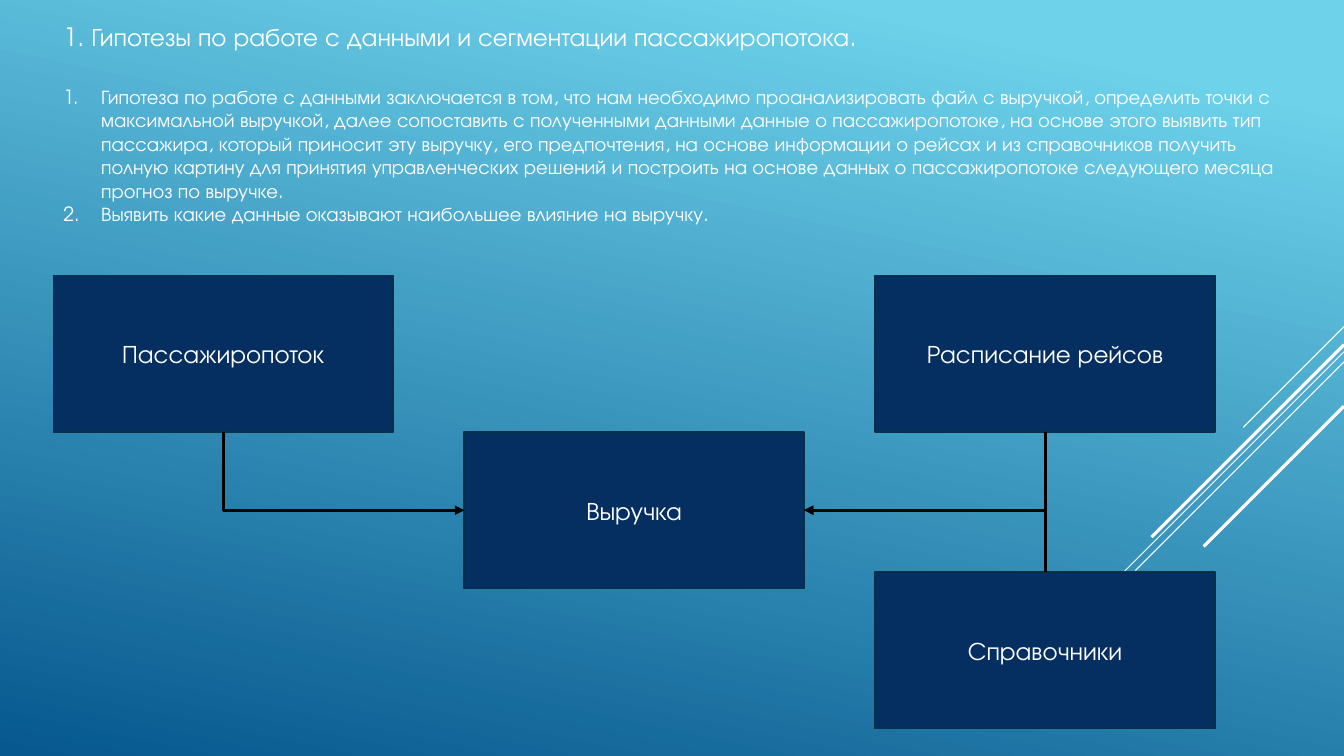
from lxml.etree import SubElement as Sub
from pptx import Presentation as Deck
from pptx.dml.color import RGBColor
from pptx.enum.shapes import MSO_CONNECTOR as Link, MSO_SHAPE as Kind
from pptx.enum.text import MSO_ANCHOR as Anchor, MSO_AUTO_SIZE as Fit, PP_ALIGN as Align
from pptx.oxml.ns import qn
from pptx.util import Pt

TOP, LEFT, BASE, RIGHT = range(4)
WIDE, HIGH = 960, 540
EDGE, STEP = 38.2, 293.5


def hue(code):
    return RGBColor.from_string(code)


def put(item, form):
    for name, value in form.items():
        setattr(item, name, value)


class Page:
    face = "TeX Gyre Adventor"
    white, navy, rim, black = "FFFFFF", "052F61", "043148", "000000"
    size = (242.6, 111.7)

    def __init__(self, slide):
        self.slide = slide
        self.shapes = slide.shapes

    def back(self, stops, angle):
        fill = self.slide.background.fill
        fill.gradient()
        fill.gradient_angle = angle
        for stop, (place, code) in zip(fill.gradient_stops, stops):
            stop.position = place
            stop.color.rgb = hue(code)

    def label(self, para, text, size):
        run = para.add_run()
        put(run, {"text": text})
        put(run.font, {"name": self.face, "size": Pt(size)})
        run.font.color.rgb = hue(self.white)

    def note(self, spot, lines, size, count=False):
        frame = self.shapes.add_textbox(*map(Pt, spot)).text_frame
        put(frame, {"word_wrap": True, "auto_size": Fit.SHAPE_TO_FIT_TEXT})
        for row, text in enumerate(lines):
            para = frame.add_paragraph() if row else frame.paragraphs[0]
            self.label(para, text, size)
            if count:
                props = para._p.get_or_add_pPr()
                props.set("marL", str(Pt(27)))
                props.set("indent", str(Pt(-27)))
                Sub(props, qn("a:buFont"), typeface="+mj-lt")
                Sub(props, qn("a:buAutoNum"), type="arabicPeriod")

    def box(self, text, left, top):
        shape = self.shapes.add_shape(Kind.RECTANGLE, *map(Pt, (left, top, *self.size)))
        shape.shadow.inherit = False
        shape.fill.solid()
        shape.fill.fore_color.rgb = hue(self.navy)
        self.trim(shape.line, self.rim, 1.25)
        put(shape.text_frame, {"word_wrap": True, "vertical_anchor": Anchor.MIDDLE})
        para = shape.text_frame.paragraphs[0]
        put(para, {"alignment": Align.CENTER})
        self.label(para, text, 18)
        return shape

    def trim(self, line, code, width):
        line.color.rgb = hue(code)
        line.width = Pt(width)

    def line(self, kind, ends, code, width):
        link = self.shapes.add_connector(kind, *map(Pt, ends))
        self.trim(link.line, code, width)
        Sub(link._element.spPr, qn("a:effectLst"))
        return link

    def ray(self, top, span, width):
        self.line(Link.STRAIGHT, (WIDE, top, WIDE - span, top + span), self.white, width)

    def bend(self, start, side, end, goal):
        link = self.line(Link.ELBOW, (0, 0, 0, 0), self.black, 2.25)
        link.begin_connect(start, side)
        link.end_connect(end, goal)
        run, rise = link.end_x - link.begin_x, link.end_y - link.begin_y
        mid_x, mid_y = link.begin_x + run // 2, link.begin_y + rise // 2
        wide, high = abs(rise), abs(run)
        put(link, {"left": mid_x - wide // 2, "top": mid_y - high // 2,
                   "width": wide, "height": high})
        props = link._element.spPr
        frame = props.find(qn("a:xfrm"))
        turn = 90 if rise > 0 else 270
        flip = run * rise > 0
        for name, value in {"rot": turn * 60000, "flipH": 0, "flipV": int(flip)}.items():
            frame.set(name, str(value))
        props.find(qn("a:prstGeom")).set("prst", "bentConnector2")
        Sub(props.find(qn("a:ln")), qn("a:tailEnd"), type="triangle")


def main():
    deck = Deck()
    put(deck, {"slide_width": Pt(WIDE), "slide_height": Pt(HIGH)})
    page = Page(deck.slides.add_slide(deck.slide_layouts[6]))
    page.back([(0.1, "6ED2EB"), (1, "06588E")], 258)

    for ray in [(233.3, 72, 0.75), (251.3, 234.7, 0.75), (258.5, 149, 0.75),
                (246.2, 137.5, 2.25), (290.2, 100.2, 2.25)]:
        page.ray(*ray)

    page.note((EDGE, 11.5, 840, 29),
              ["1. Гипотезы по работе с данными и сегментации пассажиропотока."], 18)
    page.note((EDGE, 56.9, 892, 108.7), [
        "Гипотеза по работе с данными заключается в том, что нам необходимо "
        "проанализировать файл с выручкой, определить точки с максимальной выручкой, "
        "далее сопоставить с полученными данными данные о пассажиропотоке, на основе "
        "этого выявить тип пассажира, который приносит эту выручку, его предпочтения, "
        "на основе информации о рейсах и из справочников получить полную картину для "
        "принятия управленческих решений и построить на основе данных о "
        "пассажиропотоке следующего месяца прогноз по выручке.",
        "Выявить какие данные оказывают наибольшее влияние на выручку.",
    ], 14, True)

    first, mid, last = (EDGE + STEP * col for col in range(3))
    high, low = 196.8, 408.6
    gain = page.box("Выручка", mid, 308.6)
    flow = page.box("Пассажиропоток", first, high)
    plan = page.box("Расписание рейсов", last, high)
    guide = page.box("Справочники", last, low)

    page.bend(flow, BASE, gain, LEFT)
    page.bend(plan, BASE, gain, RIGHT)
    page.bend(guide, TOP, gain, RIGHT)
    deck.save("out.pptx")


if __name__ == "__main__":
    main()
